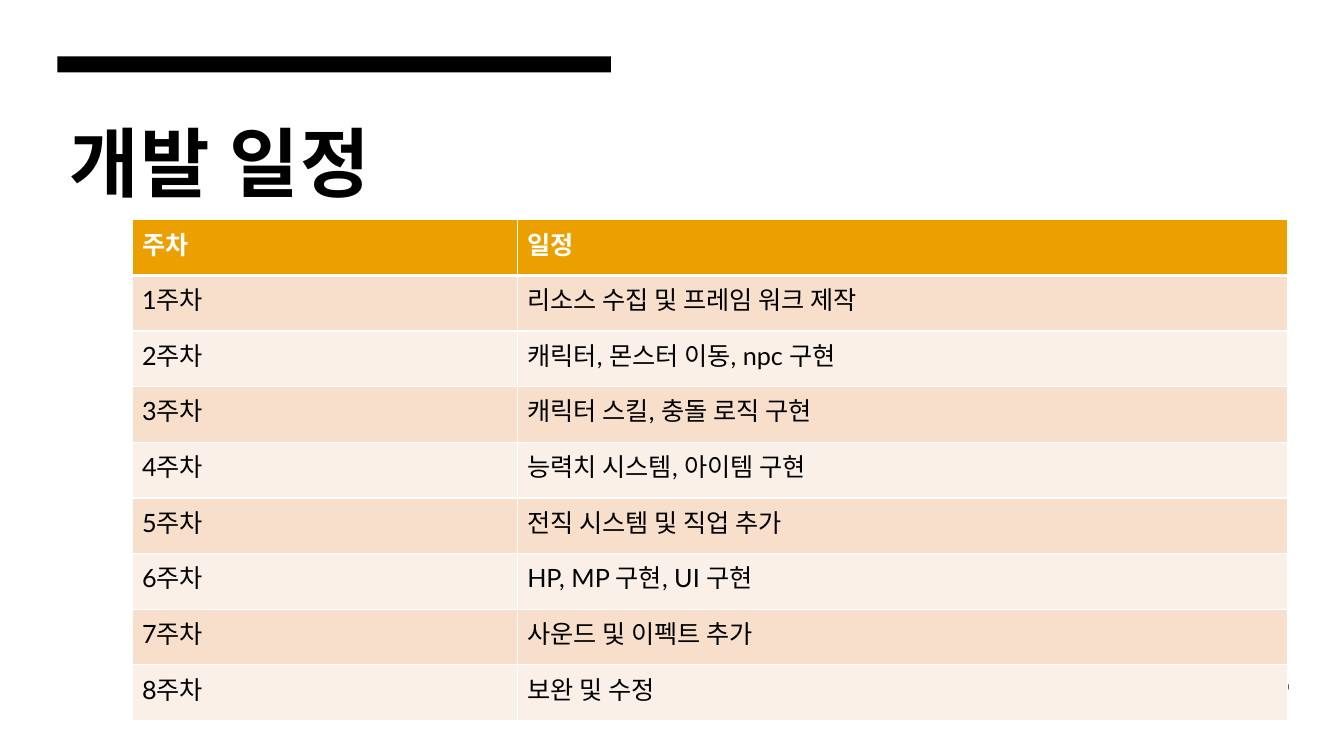
"""Build the development schedule slide."""
from lxml import etree
from pptx import Presentation
from pptx.dml.color import RGBColor
from pptx.enum import shapes, text
from pptx.oxml import ns
from pptx.util import Inches, Pt

FONT = "Lato"
COLORS = {
    "black": "000000",
    "white": "FFFFFF",
    "header": "EBA000",
    "odd": "F7DFCC",
    "even": "FBF0E7",
}
HEADINGS = ("주차", "일정")
TASKS = (
    "리소스 수집 및 프레임 워크 제작",
    "캐릭터, 몬스터 이동, npc 구현",
    "캐릭터 스킬, 충돌 로직 구현",
    "능력치 시스템, 아이템 구현",
    "전직 시스템 및 직업 추가",
    "HP, MP 구현, UI 구현",
    "사운드 및 이펙트 추가",
    "보완 및 수정",
)


def color(name):
    return RGBColor.from_string(COLORS[name])


def add_run(paragraph, content, size, color_name, bold=False):
    run = paragraph.add_run()
    run.text = content
    run.font.name = FONT
    run.font.size = Pt(size)
    run.font.bold = bold
    run.font.color.rgb = color(color_name)
    return run


def add_bar(slide, left, top, height):
    bar = slide.shapes.add_shape(
        shapes.MSO_SHAPE.RECTANGLE,
        Inches(left), Inches(top), Inches(5.49), Inches(height),
    )
    bar.shadow.inherit = False
    bar.fill.solid()
    bar.fill.fore_color.rgb = color("black")
    bar.line.fill.background()


def add_title(slide, content):
    box = slide.shapes.add_textbox(
        Inches(0.57), Inches(1.07), Inches(7.36), Inches(1.05)
    )
    frame = box.text_frame
    frame.word_wrap = True
    frame.vertical_anchor = text.MSO_ANCHOR.MIDDLE
    frame.margin_left = frame.margin_right = Inches(0.12)
    frame.margin_top = frame.margin_bottom = 0
    run = add_run(frame.paragraphs[0], content, 54, "black", True)
    run.font._element.set("spc", "100")


def set_borders(cell, widths):
    properties = cell._tc.get_or_add_tcPr()
    for index, (side, width) in enumerate(widths.items()):
        line = etree.Element(ns.qn(f"a:ln{side}"), w=str(Pt(width)))
        fill = etree.SubElement(line, ns.qn("a:solidFill"))
        etree.SubElement(fill, ns.qn("a:srgbClr"), val=COLORS["white"])
        properties.insert(index, line)


def fill_cell(cell, content, row):
    is_header = row == 0
    fill_name = "header" if is_header else "odd" if row % 2 else "even"
    cell.fill.solid()
    cell.fill.fore_color.rgb = color(fill_name)
    add_run(
        cell.text_frame.paragraphs[0], content, 18,
        "white" if is_header else "black", is_header,
    )
    set_borders(cell, {
        "L": 1, "R": 1,
        "T": 3 if row == 1 else 1,
        "B": 3 if is_header else 1,
    })


def add_schedule(slide):
    rows = [HEADINGS]
    rows += [(f"{week}주차", task) for week, task in enumerate(TASKS, 1)]
    table = slide.shapes.add_table(
        len(rows), len(HEADINGS),
        Inches(1.31), Inches(2.18), Inches(11.46), Inches(4.97),
    ).table
    for column, width in zip(table.columns, (3.82, 7.64)):
        column.width = Inches(width)
    for row, contents in enumerate(rows):
        for column, content in enumerate(contents):
            fill_cell(table.cell(row, column), content, row)


def main():
    presentation = Presentation()
    presentation.slide_width = Inches(13.33)
    presentation.slide_height = Inches(7.5)
    slide = presentation.slides.add_slide(presentation.slide_layouts[6])
    add_bar(slide, 0.57, 0.56, 0.16)
    add_bar(slide, 7.29, 6.79, 0.05)
    add_title(slide, "개발 일정")
    add_schedule(slide)
    presentation.save("out.pptx")


if __name__ == "__main__":
    main()
